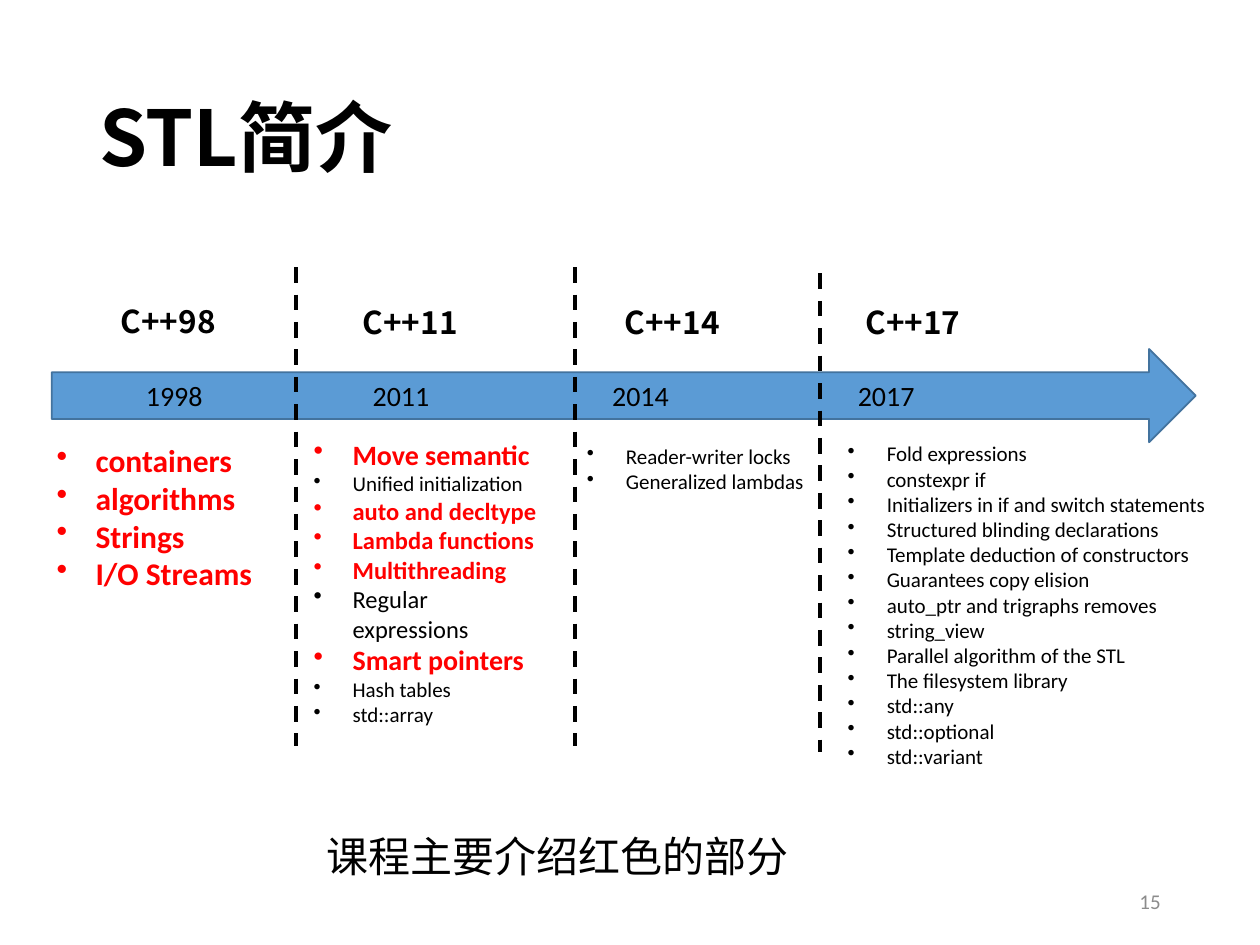
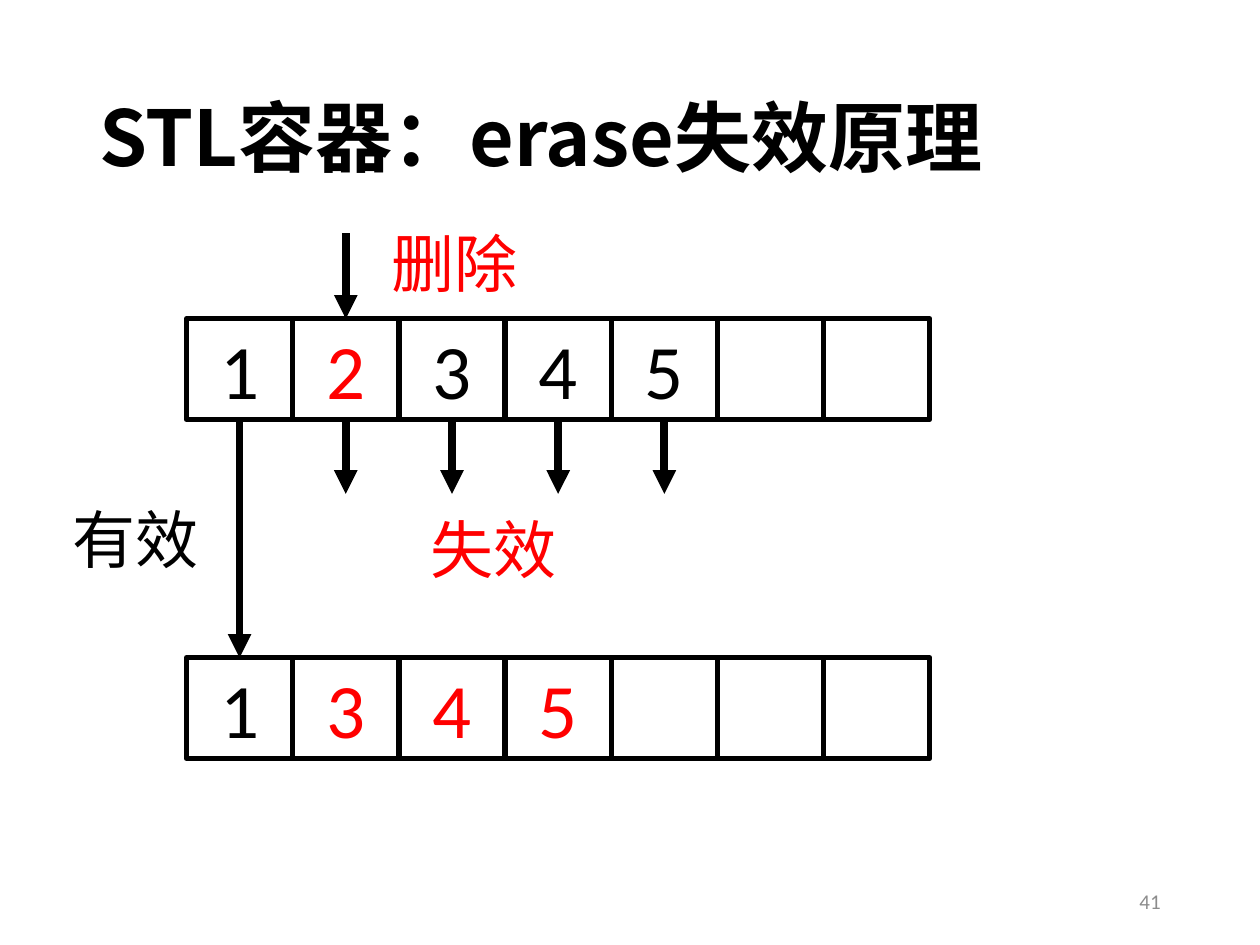
from collections import namedtuple
from lxml.etree import SubElement as Sub
from pptx import Presentation
from pptx.dml.color import RGBColor
from pptx.enum.dml import MSO_LINE as Dash
from pptx.enum.shapes import MSO_CONNECTOR as Link, MSO_SHAPE as Form
from pptx.enum.text import MSO_ANCHOR as Anchor, PP_ALIGN as Align
from pptx.oxml.ns import qn
from pptx.util import Inches, Pt

COLS, ROWS = 100, 75
WIDE, HIGH = Inches(10), Inches(7.5)
SANS, CJK = "Calibri", "Noto Sans CJK SC"
BLACK, WHITE, RED, GREY = "000000", "FFFFFF", "FF0000", "8C8C8C"
BLUE, NAVY = "5B9BD5", "43739E"
INDENT = Inches(0.31)

Box = namedtuple("Box", "x y w h")
Era = namedtuple("Era", "name head year list items")
Item = namedtuple("Item", "text size red", defaults=(12, False))

PAGE = Box(0, 0, COLS, ROWS)
TITLE = dict(font=CJK, size=44, bold=True)
LABEL = dict(font=CJK, size=36, wrap=False)

ERAS = [
    Era("C++98", Box(5.1, 2.3, 13.4, 4), 6.5, Box(0, 13.3, 21.5, 13.1), [
        Item(text, 18, True) for text in
        ("containers", "algorithms", "Strings", "I/O Streams")]),
    Era("C++11", Box(24.3, 2.4, 12.1, 4), 24.5, Box(20.4, 13, 20.5, 24.9), [
        Item("Move semantic", 16, True),
        Item("Unified initialization"),
        Item("auto and decltype", 14, True),
        Item("Lambda functions", 14, True),
        Item("Multithreading", 14, True),
        Item("Regular expressions", 14),
        Item("Smart pointers", 16, True),
        Item("Hash tables"),
        Item("std::array")]),
    Era("C++14", Box(45.1, 2.4, 11.7, 4), 43.5, Box(42.1, 13.5, 20.1, 5), [
        Item("Reader-writer locks"), Item("Generalized lambdas")]),
    Era("C++17", Box(64.2, 2.4, 12.3, 4), 63, Box(62.8, 13.3, 30.6, 27.3), [
        Item(text) for text in (
            "Fold expressions", "constexpr if",
            "Initializers in if and switch statements",
            "Structured blinding declarations",
            "Template deduction of constructors",
            "Guarantees copy elision", "auto_ptr and trigraphs removes",
            "string_view", "Parallel algorithm of the STL",
            "The filesystem library", "std::any", "std::optional",
            "std::variant")]),
]


def put(obj, **vals):
    """Set each named attribute of an object."""
    for key, val in vals.items():
        setattr(obj, key, val)


def ink(code):
    """Turn a hex string into a colour."""
    return RGBColor.from_string(code)


def within(box, part):
    """Shift a part from its box to the slide's grid."""
    return Box(box.x + part.x, box.y + part.y, part.w, part.h)


def emu(box):
    """Turn grid columns and rows into lengths."""
    col, row = WIDE / COLS, HIGH / ROWS
    return [round(n) for n in
            (box.x * col, box.y * row, box.w * col, box.h * row)]


def write(par, text, font=SANS, size=18, color=BLACK, bold=False):
    """Add one styled run to a paragraph."""
    run = par.add_run()
    run.text = text
    put(run.font, name=font, size=Pt(size), bold=bold)
    run.font.color.rgb = ink(color)
    Sub(run.font._element, qn("a:ea"), typeface=CJK)


def label(slide, box, text, anchor=Anchor.TOP, align=Align.LEFT,
          wrap=True, gap=None, **look):
    """Add a text box with one paragraph."""
    frame = slide.shapes.add_textbox(*emu(box)).text_frame
    put(frame, word_wrap=wrap, vertical_anchor=anchor)
    put(frame.paragraphs[0], alignment=align, line_spacing=gap)
    write(frame.paragraphs[0], text, **look)


def bullets(slide, box, items):
    """Add a bulleted list."""
    frame = slide.shapes.add_textbox(*emu(box)).text_frame
    frame.word_wrap = True
    for i, item in enumerate(items):
        par = frame.add_paragraph() if i else frame.paragraphs[0]
        props = par._p.get_or_add_pPr()
        props.set("marL", str(INDENT))
        props.set("indent", str(-INDENT))
        Sub(props, qn("a:buChar"), char="•")
        write(par, item.text, size=item.size, bold=item.red,
              color=RED if item.red else BLACK)


def shape(slide, form, box, fill, edge, width):
    """Add a filled preset shape."""
    item = slide.shapes.add_shape(form, *emu(box))
    item.shadow.inherit = False
    item.fill.solid()
    item.fill.fore_color.rgb = ink(fill)
    item.line.color.rgb = ink(edge)
    item.line.width = Pt(width)
    put(item.text_frame, word_wrap=True, vertical_anchor=Anchor.MIDDLE)
    return item


def line(slide, x, y, drop, width, dash=None, head=False):
    """Add a vertical line going down from a point."""
    left, top, _, high = emu(Box(x, y, 0, drop))
    item = slide.shapes.add_connector(Link.STRAIGHT, left, top, left, top + high)
    put(item.line, width=Pt(width), dash_style=dash)
    item.line.color.rgb = ink(BLACK)
    if head:
        Sub(item.line._get_or_add_ln(), qn("a:tailEnd"), type="triangle")
    Sub(item._element.spPr, qn("a:effectLst"))
    return item


def base(deck, title, number):
    """Start a slide with its title and page number."""
    slide = deck.slides.add_slide(deck.slide_layouts[6])
    label(slide, within(PAGE, Box(6.9, 4, 86.2, 14.5)), title,
          anchor=Anchor.MIDDLE, gap=0.9, **TITLE)
    label(slide, within(PAGE, Box(70.6, 69.5, 22.5, 4)), number,
          anchor=Anchor.MIDDLE, align=Align.RIGHT, size=12, color=GREY)
    return slide


def timeline(slide, box):
    """Draw the arrow of years with the features of each era."""
    arrow = shape(slide, Form.RIGHT_ARROW, within(box, Box(0.6, 6.5, 90.8, 7.4)),
                  BLUE, NAVY, 1)
    par = arrow.text_frame.paragraphs[0]
    par.alignment = Align.LEFT
    tabs = Sub(par._p.get_or_add_pPr(), qn("a:tabLst"))
    for era in ERAS:
        stop = emu(Box(era.year, 0, 0, 0))[0]
        Sub(tabs, qn("a:tab"), pos=str(stop), algn="l")
    years = ("1998", "2011", "2014", "2017")
    write(par, "".join("\t" + year for year in years), size=16)
    for x, y in ((20, 0), (42.1, 0), (61.6, 0.5)):
        line(slide, box.x + x, box.y + y, 38, 2.25, dash=Dash.DASH)
    for era in ERAS:
        label(slide, within(box, era.head), era.name, font=CJK, bold=True)
        bullets(slide, within(box, era.list), era.items)


def array(slide, box, count, values, reds):
    """Draw a row of equal cells and return them."""
    cells = []
    side = box.w / count
    for i in range(count):
        cell = shape(slide, Form.RECTANGLE,
                     within(box, Box(i * side, 0, side, box.h)), WHITE, BLACK, 3)
        if i < len(values):
            par = cell.text_frame.paragraphs[0]
            par.alignment = Align.CENTER
            write(par, values[i], size=44,
                  color=RED if values[i] in reds else BLACK)
        cells.append(cell)
    return cells


def erasure(slide, box):
    """Show the array before and after an erase."""
    count, high, top, low = 7, 8, 6.8, 33.7
    old = array(slide, within(box, Box(0, top, box.w, high)), count, "12345", "2")
    new = array(slide, within(box, Box(0, low, box.w, high)), count, "1345", "345")
    mids = [box.x + (i + 0.5) * box.w / count for i in range(count)]
    foot = top + high

    cut = line(slide, mids[1], box.y, top, 4.5, head=True)
    cut.end_connect(old[1], 0)
    keep = line(slide, mids[0], box.y + foot, low - foot, 4.5, head=True)
    keep.begin_connect(old[0], 2)
    keep.end_connect(new[0], 0)
    for i in range(1, 5):
        lost = line(slide, mids[i], box.y + foot, 5.9, 4.5, head=True)
        lost.begin_connect(old[i], 2)

    for x, y, text, color in ((15.3, -1.2, "删除", RED),
                              (-10, 20.7, "有效", BLACK),
                              (18.4, 21.5, "失效", RED)):
        label(slide, within(box, Box(x, y, 12.1, 7.1)), text, color=color, **LABEL)


def main():
    """Build and save the deck."""
    deck = Presentation()
    put(deck, slide_width=WIDE, slide_height=HIGH)
    intro = base(deck, "STL简介", "15")
    timeline(intro, Box(3.5, 21.2, 93.4, 40.6))
    label(intro, Box(24.9, 65.4, 39, 5), "课程主要介绍红色的部分", size=24, wrap=False)
    erase = base(deck, "STL容器：erase失效原理", "41")
    erasure(erase, Box(14.8, 18.5, 59, 41.7))
    deck.save("out.pptx")


if __name__ == "__main__":
    main()
